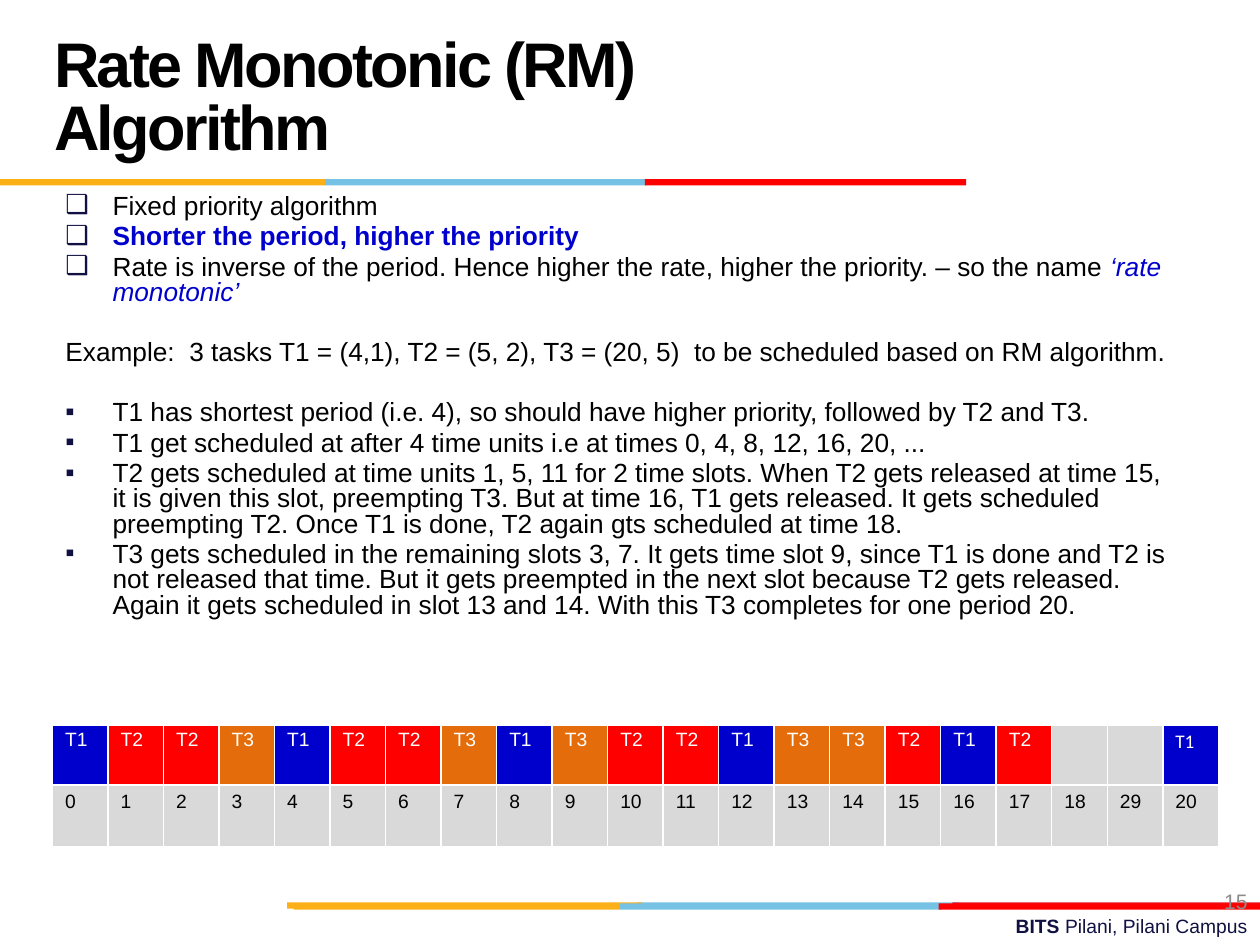
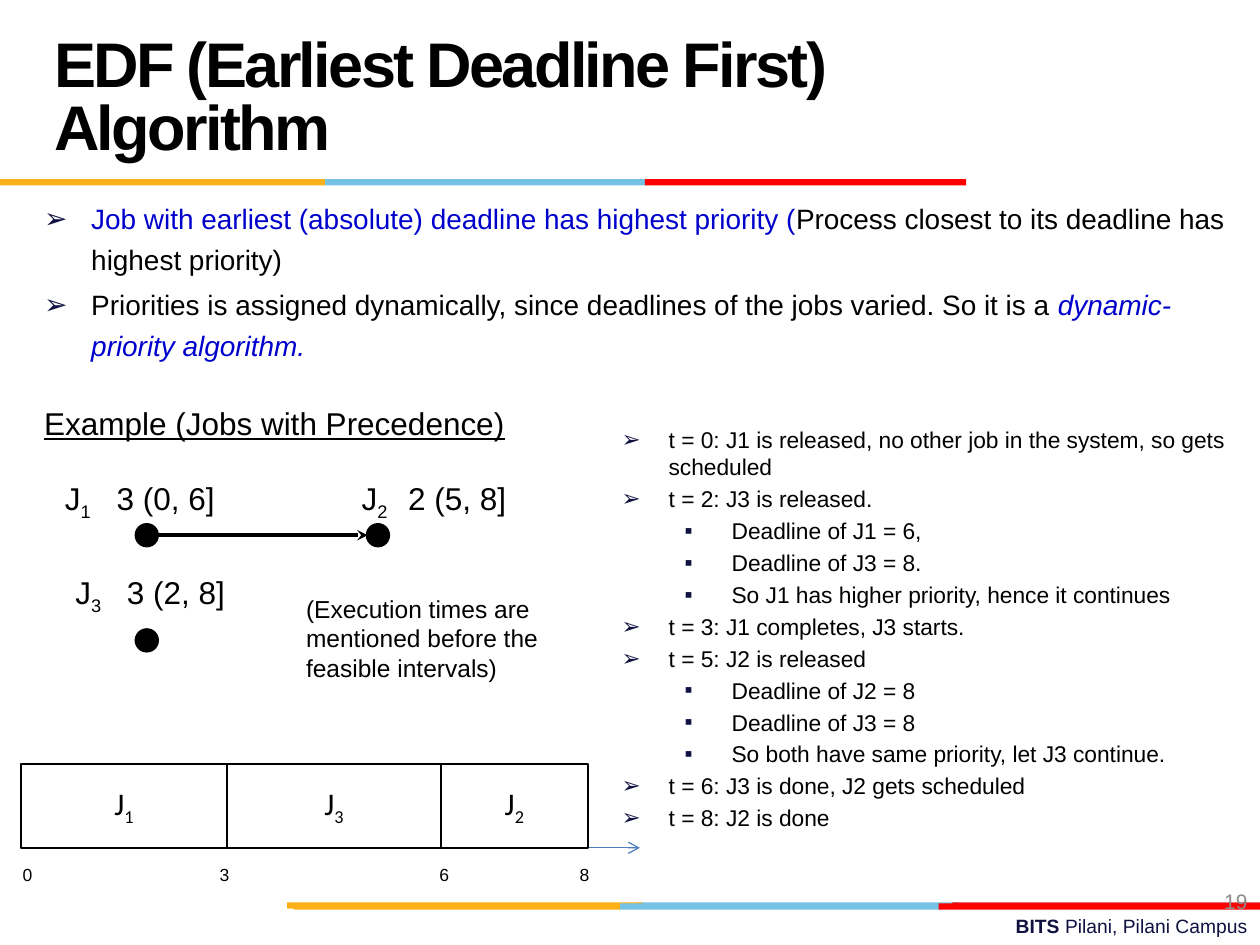
from lxml import etree
from pptx import Presentation
from pptx import util as u
from pptx.dml.color import RGBColor
from pptx.enum import shapes, text
from pptx.oxml.ns import qn

COLORS = {
    "black": "000000", "white": "FFFFFF", "navy": "101141", "blue": "0000CC",
    "red": "FF0000", "crimson": "E31C24", "gold": "FCB017", "sky": "76C2E5",
    "orange": "E46C0A", "gray": "8C8C8C", "light": "D9D9D9", "axis": "4B7EBC",
}
BLUE = {"color": "blue"}
BLUE_BOLD = {"color": "blue", "bold": True}
BLUE_ITALIC = {"color": "blue", "italic": True}

BARS = [
    (12.85, 18.19, 6.48, "sky"), (19.2, 18.19, 6.2, "crimson"), (5.79, 18.19, 7.16, "gold"),
    (12.5, 18.21, 6.48, "sky"), (5.92, 18.21, 6.58, "gold"), (18.92, 18.21, 6.48, "red"),
    (6.55, 3.61, 6.48, "sky"), (0, 3.61, 6.55, "gold"), (13, 3.61, 6.48, "red"),
]
FOOTER = [("BITS ", {"bold": True}), ("Pilani, Pilani Campus", {})]
BULLETS = {"box": ("❑", 0.95), "square": ("▪", 0.95), "arrow": ("➢", 0.95), "sub": ("▪", 2.22)}

RM_POINTS = [
    ("box", [("Fixed priority algorithm", {})]),
    ("box", [("Shorter the period, higher the priority", BLUE_BOLD)]),
    ("box", [("Rate is inverse of the period. Hence higher the rate, higher the priority. – so the name ", {}),
             ("‘rate monotonic’", BLUE_ITALIC)]),
    (None, [("Example:  3 tasks T1 = (4,1), T2 = (5, 2), T3 = (20, 5)  to be scheduled based on RM algorithm.", {})], 20),
    ("square", [("T1 has shortest period (i.e. 4), so should have higher priority, followed by T2 and T3.", {})], 20),
    ("square", [("T1 get scheduled at after 4 time units i.e at times 0, 4, 8, 12, 16, 20, ...", {})]),
    ("square", [("T2 gets scheduled at time units 1, 5, 11 for 2 time slots. When T2 gets released at time 15, "
                 "it is given this slot, preempting T3. But at time 16, T1 gets released. It gets scheduled "
                 "preempting T2. Once T1 is done, T2 again gts scheduled at time 18.", {})]),
    ("square", [("T3 gets scheduled in the remaining slots 3, 7. It gets time slot 9, since T1 is done and T2 is "
                 "not released that time. But it gets preempted in the next slot because T2 gets released. "
                 "Again it gets scheduled in slot 13 and 14. With this T3 completes for one period 20.", {})]),
]
SLOTS = "T1 T2 T2 T3 T1 T2 T2 T3 T1 T3 T2 T2 T1 T3 T3 T2 T1 T2".split() + ["", "", "T1"]
TIMES = [str(n) for n in range(19)] + ["29", "20"]
TASK_COLORS = {"T1": "blue", "T2": "red", "T3": "orange", "": "light"}

EDF_POINTS = [
    ("arrow", [("Job with earliest (absolute) deadline has highest priority (", BLUE),
               ("Process closest to its deadline has highest priority)", {})]),
    ("arrow", [("Priorities is assigned dynamically, since deadlines of the jobs varied. So it is a ", {}),
               ("dynamic-priority algorithm.", BLUE_ITALIC)]),
    (None, [("Example (Jobs with Precedence)", {"size": 18, "underline": True})], 24, 1.0),
]
EDF_STEPS = [
    ("arrow", "t = 0: J1 is released, no other job in the system, so gets scheduled"),
    ("arrow", "t = 2: J3 is released."),
    ("sub", "Deadline of J1 = 6,"),
    ("sub", "Deadline of J3 = 8."),
    ("sub", "So J1 has higher priority, hence it continues"),
    ("arrow", "t = 3: J1 completes, J3 starts."),
    ("arrow", "t = 5: J2 is released"),
    ("sub", "Deadline of J2 = 8"),
    ("sub", "Deadline of J3 = 8"),
    ("sub", "So both have same priority, let J3 continue."),
    ("arrow", "t = 6: J3 is done, J2 gets scheduled"),
    ("arrow", "t = 8: J2 is done"),
]
JOBS = [
    ("1", "3 (0, 6]", (1.06, 9.53, 4.02, 1.02), 1.04),
    ("2", "2 (5, 8]", (7.04, 9.53, 3.56, 1.02), 0.94),
    ("3", "3 (2, 8]", (1.27, 11.43, 3.81, 1.02), 1.04),
]
NODES = [(7.41, 10.58), (2.75, 10.58), (2.75, 12.7)]
NOTE = ["(Execution times are", "mentioned before the", "feasible intervals)"]
GANTT_JOBS = ["1", "3", "2"]
GANTT_EDGES = [0.42, 4.58, 8.89, 11.85]
TICKS = [("0", 0.2), ("3", 4.17), ("6", 8.6), ("8", 11.43)]


def rgb(name):
    return RGBColor.from_string(COLORS[name])


def sub(parent, tag, **attrs):
    el = etree.SubElement(parent, qn(tag))
    for k, v in attrs.items():
        el.set(k, str(v))
    return el


def add_runs(p, runs, **base):
    for words, fmt in runs:
        f = {"size": 18, "name": "Arial", "color": "black", **base, **fmt}
        r = p.add_run()
        r.text = words
        r.font.color.rgb = rgb(f.pop("color"))
        r.font.size = u.Pt(f.pop("size"))
        for key in ("baseline", "spc"):
            if key in f:
                r.font._element.set(key, str(f.pop(key)))
        for key, value in f.items():
            setattr(r.font, key, value)


def set_bullet(p, kind):
    char, left = BULLETS[kind]
    pPr = p._p.get_or_add_pPr()
    pPr.set("marL", str(u.Cm(left)))
    pPr.set("indent", str(-u.Cm(0.95)))
    sub(sub(pPr, "a:buClr"), "a:srgbClr", val=COLORS["navy"])
    sub(pPr, "a:buFont", typeface="Arial")
    sub(pPr, "a:buChar", char=char)


def add_text(s, box, paras, align=None, anchor=None, wrap=True, **base):
    tf = s.shapes.add_textbox(*map(u.Cm, box)).text_frame
    tf.word_wrap = wrap
    if anchor:
        tf.vertical_anchor = anchor
    for i, runs in enumerate(paras):
        p = tf.paragraphs[0] if i == 0 else tf.add_paragraph()
        if align:
            p.alignment = align
        add_runs(p, runs, **base)
    return tf


def add_list(s, box, points, size, spacing=1.0):
    tf = add_text(s, box, [pt[1] for pt in points], size=size)
    for i, (p, (kind, _, *extra)) in enumerate(zip(tf.paragraphs, points)):
        before, ls = (extra + [size * 0.2, spacing][len(extra):])[:2]
        if kind:
            set_bullet(p, kind)
        if ls != 1.0:
            p.line_spacing = ls
        if i:
            p.space_before = u.Pt(before)


def add_box(s, kind, box, fill=None, line=None, width=1):
    sp = s.shapes.add_shape(kind, *map(u.Cm, box))
    sp.shadow.inherit = False
    if fill:
        sp.fill.solid()
        sp.fill.fore_color.rgb = rgb(fill)
    else:
        sp.fill.background()
    if line:
        sp.line.color.rgb = rgb(line)
        sp.line.width = u.Pt(width)
    else:
        sp.line.fill.background()
    return sp


def add_arrow(s, x1, x2, y, color, width, tail, head=None):
    c = s.shapes.add_connector(shapes.MSO_CONNECTOR.STRAIGHT, *map(u.Cm, (x1, y, x2, y)))
    c.line.color.rgb = rgb(color)
    c.line.width = u.Pt(width)
    ln = c.line._get_or_add_ln()
    if head:
        sub(ln, "a:headEnd", type=head)
    sub(ln, "a:tailEnd", type=tail)
    sub(c._element.spPr, "a:effectLst")


def add_slide(prs, title, number):
    s = prs.slides.add_slide(prs.slide_layouts[6])
    add_text(s, (9.09, 18.31, 16.31, 0.74), [FOOTER], text.PP_ALIGN.RIGHT, size=11, color="navy")
    for x, y, w, color in BARS:
        add_box(s, shapes.MSO_SHAPE.RECTANGLE, (x, y, w, 0.13), color)
    tf = add_text(s, (0.84, 0.43, 17.58, 3.18), [[(title, {})]], anchor=text.MSO_ANCHOR.MIDDLE,
                  size=36, bold=True, spc=-150)
    tf.paragraphs[0].line_spacing = u.Pt(36)
    add_text(s, (19.48, 17.65, 5.92, 1.02), [[(number, {})]], text.PP_ALIGN.RIGHT,
             text.MSO_ANCHOR.MIDDLE, size=12, color="gray")
    return s


def fill_cell(cell, words, fill, bottom, **fmt):
    tcPr = cell._tc.get_or_add_tcPr()
    for side, width in (("L", 1), ("R", 1), ("T", 1), ("B", bottom)):
        ln = sub(tcPr, f"a:ln{side}", w=u.Pt(width))
        sub(sub(ln, "a:solidFill"), "a:srgbClr", val=COLORS["white"])
    if fill:
        cell.fill.solid()
        cell.fill.fore_color.rgb = rgb(fill)
    else:
        cell.fill.background()
    if words:
        add_runs(cell.text_frame.paragraphs[0], [(words, {})], size=11, **fmt)


def add_schedule(s):
    n = len(SLOTS)
    tbl = s.shapes.add_table(3, n, *map(u.Cm, (1.06, 13.34, 23.5, 3.73))).table
    tbl.first_row = tbl.horz_banding = False
    for row in tbl.rows:
        row.height = u.Cm(1.24)
    for i, (task, time) in enumerate(zip(SLOTS, TIMES)):
        tbl.columns[i].width = u.Cm(23.5 / n)
        face = "Calibri" if i == n - 1 else "Arial"
        fill_cell(tbl.cell(0, i), "", None, 3)
        fill_cell(tbl.cell(1, i), task, TASK_COLORS[task], 1, color="white", name=face)
        fill_cell(tbl.cell(2, i), time, "light", 1)


def job_runs(index, rest=""):
    runs = [("J", {}), (index, {"baseline": -25000})]
    return runs + [("\t" + rest, {})] if rest else runs


def add_precedence(s):
    add_arrow(s, 2.96, 7.41, 10.79, "black", 2, "stealth", "oval")
    for x, y in NODES:
        add_box(s, shapes.MSO_SHAPE.OVAL, (x, y, 0.42, 0.42), "black", "black", 2)
    for index, times, box, stop in JOBS:
        tf = add_text(s, box, [job_runs(index, times)])
        tabs = sub(tf.paragraphs[0]._p.get_or_add_pPr(), "a:tabLst")
        sub(tabs, "a:tab", pos=u.Cm(stop), algn="l")
    add_text(s, (5.92, 11.85, 5.33, 2.06), [[(line, {})] for line in NOTE], wrap=False, size=14)


def add_gantt(s):
    add_arrow(s, 0.42, 12.9, 17.09, "axis", 0.75, "arrow")
    for index, left, right in zip(GANTT_JOBS, GANTT_EDGES, GANTT_EDGES[1:]):
        sp = add_box(s, shapes.MSO_SHAPE.RECTANGLE, (left, 15.4, right - left, 1.69), line="black")
        sp.text_frame.vertical_anchor = text.MSO_ANCHOR.MIDDLE
        p = sp.text_frame.paragraphs[0]
        p.alignment = text.PP_ALIGN.CENTER
        add_runs(p, job_runs(index), name="Calibri")
    for tick, x in TICKS:
        add_text(s, (x, 17.3, 0.71, 0.69), [[(tick, {})]], text.PP_ALIGN.CENTER, wrap=False, size=10)


def main():
    prs = Presentation()
    prs.slide_width, prs.slide_height = u.Cm(25.4), u.Cm(19.05)

    s = add_slide(prs, "Rate Monotonic (RM) Algorithm", "15")
    add_list(s, (1.07, 3.81, 22.86, 10.36), RM_POINTS, 15, 0.8)
    add_schedule(s)

    s = add_slide(prs, "EDF (Earliest Deadline First) Algorithm", "19")
    add_list(s, (0.64, 3.81, 24.76, 4.65), EDF_POINTS, 16, 1.2)
    add_precedence(s)
    add_list(s, (12.28, 8.46, 13.12, 9.31), [(kind, [(step, {})]) for kind, step in EDF_STEPS], 13)
    add_gantt(s)

    prs.save("out.pptx")


if __name__ == "__main__":
    main()
